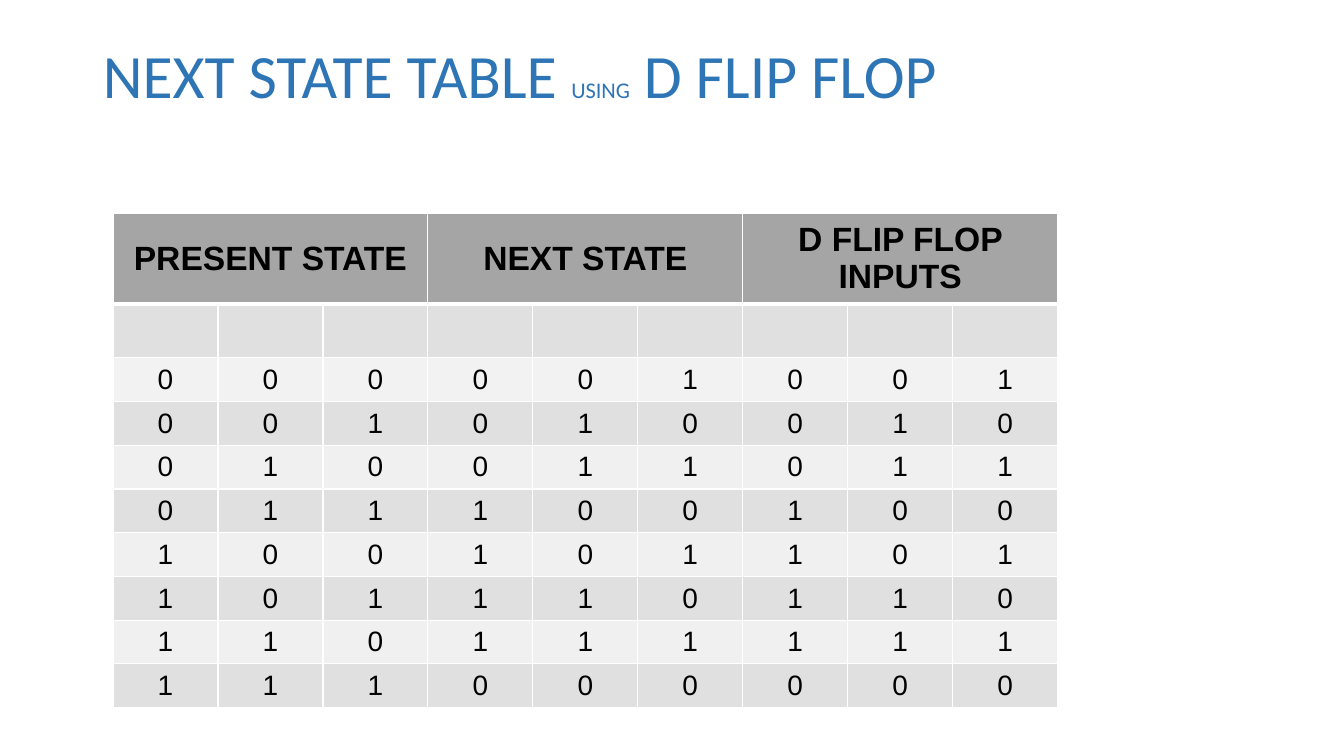
from lxml.etree import SubElement
from pptx import Presentation
from pptx.dml.color import RGBColor
from pptx.enum.text import MSO_ANCHOR as Anchor, PP_ALIGN as Align
from pptx.oxml.ns import qn
from pptx.util import Emu, Pt

# Content
TITLE = [("NEXT STATE TABLE ", 44), ("USING", 16), (" D FLIP FLOP", 44)]
GROUPS = ["PRESENT STATE", "NEXT STATE", "D FLIP FLOP INPUTS"]
STATES = [  # present state, next state, D inputs
    ("000", "001", "001"),
    ("001", "010", "010"),
    ("010", "011", "011"),
    ("011", "100", "100"),
    ("100", "101", "101"),
    ("101", "110", "110"),
    ("110", "111", "111"),
    ("111", "000", "000"),
]

# Colours
BLUE, BLACK, WHITE = "2E75B5", "000000", "FFFFFF"
HEADER_FILL, DARK_BAND, LIGHT_BAND, FIRST_BAND = "A5A5A5", "E0E0E0", "F0F0F0", "F2F2F2"

# Layout in px
PX = 914400 / 100.8
PAGE = (1344, 756)
TITLE_BOX = (93, 40, 1159, 146)
LEFT, TOP, BOTTOM = 113, 213, 701
COLUMN, HEADER, BLANK_ROW = 105, 84, 54
BITS = 3


def px(length):
    return Emu(round(length * PX))


def color(value):
    return RGBColor.from_string(value)


def style_cell(cell, fill, bottom=1):
    """Draw white borders, then fill the cell."""
    properties = cell._tc.get_or_add_tcPr()
    for side, width in (("L", 1), ("R", 1), ("T", 1), ("B", bottom)):
        line = SubElement(properties, qn(f"a:ln{side}"), w=str(Pt(width)))
        SubElement(SubElement(line, qn("a:solidFill")), qn("a:srgbClr"), val=WHITE)
    cell.fill.solid()
    cell.fill.fore_color.rgb = color(fill)
    cell.vertical_anchor = Anchor.MIDDLE


def write_cell(cell, text, size, bold=False):
    cell.text = text
    para = cell.text_frame.paragraphs[0]
    para.alignment = Align.CENTER
    font = para.font
    font.name, font.size, font.bold = "Arial", Pt(size), bold
    font.color.rgb = color(BLACK)


deck = Presentation()
deck.slide_width, deck.slide_height = map(px, PAGE)
page = deck.slides.add_slide(deck.slide_layouts[6])

# Title
box = page.shapes.add_textbox(*map(px, TITLE_BOX))
box.text_frame.word_wrap = True
box.text_frame.vertical_anchor = Anchor.TOP
para = box.text_frame.paragraphs[0]
para.line_spacing = 0.9
para.font.name = "Calibri"
para.font.color.rgb = color(BLUE)
for text, size in TITLE:
    span = para.add_run()
    span.text = text
    span.font.size = Pt(size)

# Table grid
columns = len(GROUPS) * BITS
state_row = (BOTTOM - TOP - HEADER - BLANK_ROW) / len(STATES)
heights = [HEADER, BLANK_ROW] + [state_row] * len(STATES)
fills = [HEADER_FILL, DARK_BAND, FIRST_BAND]
fills += [LIGHT_BAND if row % 2 == 0 else DARK_BAND for row in range(3, len(heights))]
frame = page.shapes.add_table(len(heights), columns, px(LEFT), px(TOP),
                              px(COLUMN * columns), px(BOTTOM - TOP))
table = frame.table
for column in table.columns:
    column.width = px(COLUMN)
for row, height, fill in zip(table.rows, heights, fills):
    row.height = px(height)
    for cell in row.cells:
        style_cell(cell, fill, bottom=3 if fill == HEADER_FILL else 1)

# Group headings
for group, heading in enumerate(GROUPS):
    first = group * BITS
    table.cell(0, first).merge(table.cell(0, first + BITS - 1))
    write_cell(table.cell(0, first), heading, 24, bold=True)

# State bits
for row, state in enumerate(STATES, start=2):
    for column, bit in enumerate("".join(state)):
        write_cell(table.cell(row, column), bit, 20)

deck.save("out.pptx")
